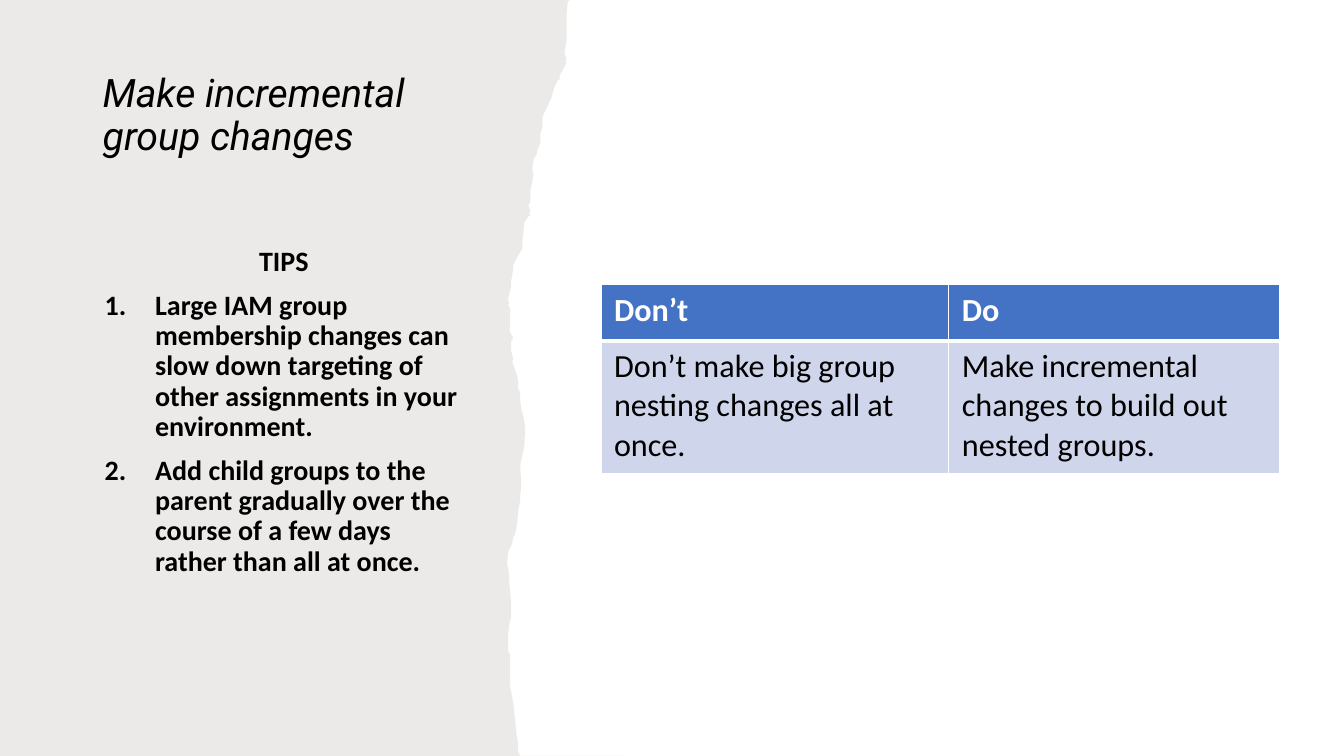
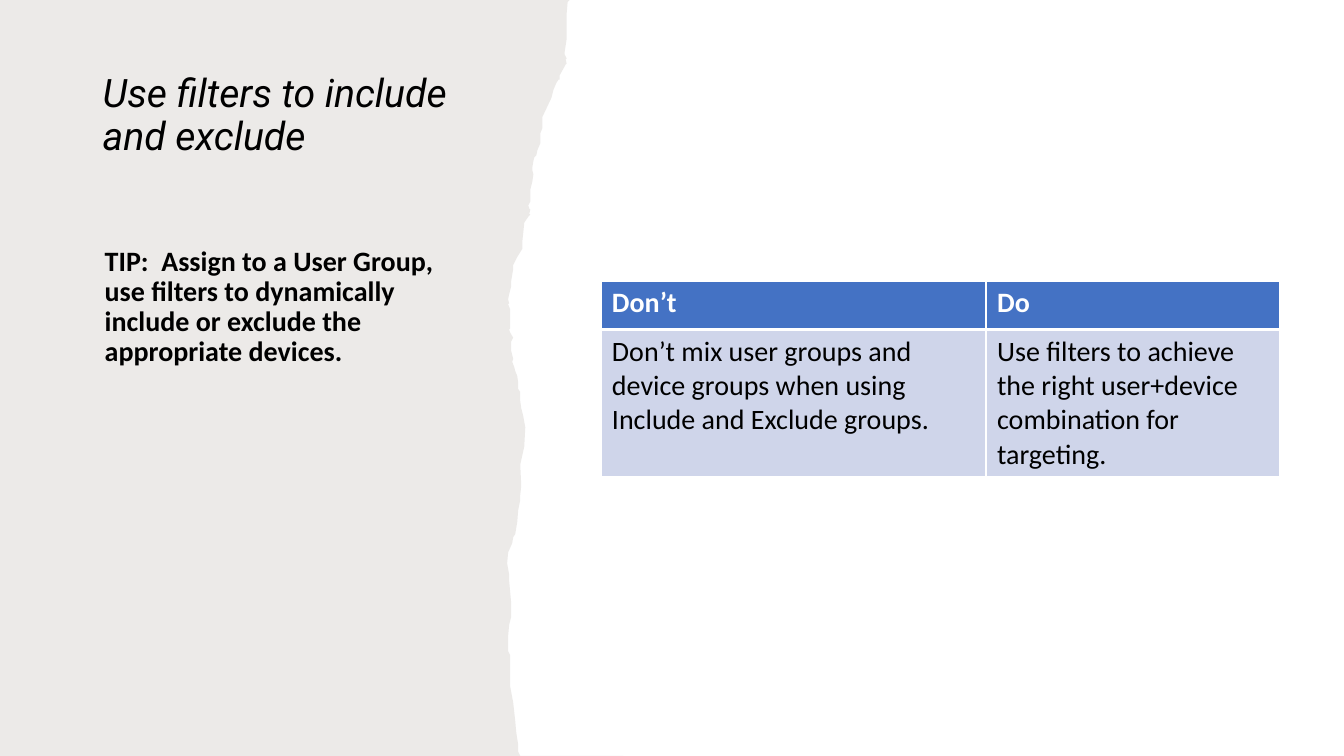
from lxml import etree
from pptx import Presentation
from pptx.dml.color import RGBColor
from pptx.enum.text import MSO_ANCHOR, PP_ALIGN
from pptx.oxml.ns import qn
from pptx.util import Pt

PX = 9144
WIDE, HIGH = 1333, 750
TOP, MID = MSO_ANCHOR.TOP, MSO_ANCHOR.MIDDLE
LEFT, CENTER = PP_ALIGN.LEFT, PP_ALIGN.CENTER
BLACK, WHITE = "000000", "FFFFFF"
HEAD, CELL, PAPER = "4472C4", "CFD5EA", "82766A"
EDGE = [
    (565, 0), (563, 2), (562, 14), (562, 20), (562, 29), (562, 39), (560, 52),
    (560, 54), (562, 58), (561, 59), (562, 63), (561, 64), (560, 66), (555, 75),
    (555, 79), (554, 79), (552, 82), (549, 89), (547, 97), (538, 116), (538, 127),
    (536, 132), (536, 142), (533, 149), (532, 154), (530, 156), (529, 160),
    (528, 166), (528, 169), (529, 173), (528, 180), (526, 188), (526, 195),
    (526, 200), (524, 204), (525, 207), (526, 208), (525, 212), (526, 213),
    (524, 215), (520, 221), (519, 231), (518, 240), (518, 247), (513, 255),
    (509, 263), (509, 267), (508, 273), (507, 279), (507, 284), (506, 288),
    (505, 292), (504, 297), (505, 301), (504, 302), (506, 307), (506, 318),
    (506, 326), (505, 327), (506, 330), (509, 335), (507, 339), (507, 345),
    (507, 348), (509, 356), (508, 359), (510, 364), (511, 368), (513, 373),
    (514, 380), (514, 386), (516, 389), (516, 398), (517, 405), (519, 413),
    (521, 424), (520, 443), (516, 461), (517, 482), (516, 491), (516, 496),
    (514, 506), (513, 518), (511, 530), (509, 533), (508, 539), (504, 548),
    (503, 559), (505, 570), (505, 576), (507, 598), (507, 612), (505, 620),
    (504, 631), (504, 646), (506, 650), (506, 653), (506, 666), (506, 681),
    (509, 697), (511, 715), (512, 726), (513, 733), (514, 739), (514, 746),
    (516, 750), (618, 750), (0, 750),
]


def color(code):
    """Turn a hex string into a colour."""
    return RGBColor.from_string(code)


def write(frame, lines, font="Calibri", size=20, ink=BLACK, bold=False,
          slant=False, align=LEFT, gap=None, lead=None, list_from=None):
    """Fill a text frame with formatted paragraphs."""
    frame.word_wrap = True
    for i, line in enumerate(lines):
        para = frame.paragraphs[0] if i == 0 else frame.add_paragraph()
        listed = list_from is not None and i >= list_from
        para.alignment = LEFT if listed else align
        if lead:
            para.line_spacing = lead
        if gap:
            para.space_before = Pt(gap)
        if listed:
            props = para._p.get_or_add_pPr()
            props.set("marL", str(50 * PX))
            props.set("indent", str(-50 * PX))
            etree.SubElement(props, qn("a:buAutoNum"), type="arabicPeriod")
        run = para.add_run()
        run.text = line
        face = run.font
        face.name, face.size = font, Pt(size)
        face.bold, face.italic = bold, slant
        face.color.rgb = color(ink)


def rule(cell, widths):
    """Draw white borders given as left, right, top and bottom points."""
    props = cell._tc.get_or_add_tcPr()
    for i, (side, width) in enumerate(zip("LRTB", widths)):
        line = etree.Element(qn("a:ln" + side), w=str(Pt(width)))
        fill = etree.SubElement(line, qn("a:solidFill"))
        etree.SubElement(fill, qn("a:srgbClr"), val=WHITE)
        props.insert(i, line)


class Deck:
    """Hold the shared style and the current slide."""

    def __init__(self):
        """Start an empty deck."""
        self.file = Presentation()
        self.file.slide_width = WIDE * PX
        self.file.slide_height = HIGH * PX
        self.slide = None

    def page(self, title):
        """Add a slide with its torn paper and title."""
        self.slide = self.file.slides.add_slide(self.file.slide_layouts[6])
        back = self.slide.background.fill
        back.solid()
        back.fore_color.rgb = color(WHITE)
        self.paper()
        self.text(92, 67, 409, 97, [title], anchor=MID, font="Roboto",
                  size=28, slant=True, lead=0.9)

    def paper(self):
        """Draw the torn paper on the left."""
        path = self.slide.shapes.build_freeform(0, 0, scale=PX)
        path.add_line_segments(EDGE, close=True)
        shape = path.convert_to_shape()
        shape.shadow.inherit = False
        shape.fill.solid()
        shape.fill.fore_color.rgb = color(PAPER)
        tint = shape.element.spPr.find(".//" + qn("a:srgbClr"))
        etree.SubElement(tint, qn("a:alpha"), val="15000")
        shape.line.fill.background()

    def text(self, x, y, w, h, lines, anchor=TOP, **style):
        """Add a text box."""
        box = self.slide.shapes.add_textbox(x * PX, y * PX, w * PX, h * PX)
        box.text_frame.vertical_anchor = anchor
        write(box.text_frame, lines, **style)

    def tips(self, lines, **style):
        """Add the bold tips below the title."""
        self.text(94, 240, 375, 427, lines, bold=True, gap=10, lead=0.9, **style)

    def table(self, y, cols, rows, data, size, pad):
        """Add a table with a blue head row."""
        frame = self.slide.shapes.add_table(
            len(rows), len(cols), 596 * PX, y * PX, sum(cols) * PX, sum(rows) * PX)
        grid = frame.table
        grid.horz_banding = False
        for col, width in zip(grid.columns, cols):
            col.width = width * PX
        for r, (row, high) in enumerate(zip(data, rows)):
            grid.rows[r].height = high * PX
            head = r == 0
            for c, words in enumerate(row):
                cell = grid.cell(r, c)
                cell.margin_left = cell.margin_right = pad[0] * PX
                cell.margin_top = cell.margin_bottom = pad[1] * PX
                cell.fill.solid()
                cell.fill.fore_color.rgb = color(HEAD if head else CELL)
                rule(cell, (1, 1, 1, 3) if head else (1, 1, 3, 1))
                write(cell.text_frame, [words], size=size, bold=head,
                      ink=WHITE if head else BLACK)


def main():
    """Build both slides and save them."""
    deck = Deck()
    names = ("Don’t", "Do")

    deck.page("Make incremental group changes")
    deck.tips([
        "TIPS",
        "Large IAM group membership changes can slow down targeting of other "
        "assignments in your environment.",
        "Add child groups to the parent gradually over the course of a few days "
        "rather than all at once.",
    ], align=CENTER, list_from=1)
    deck.table(282, (345, 328), (56, 132), [names, (
        "Don’t make big group nesting changes all at once.",
        "Make incremental changes to build out nested groups.",
    )], size=23, pad=(13, 6))

    deck.page("Use filters to include and exclude")
    deck.tips([
        "TIP:  Assign to a User Group, use filters to dynamically include or "
        "exclude the appropriate devices.",
    ])
    deck.table(279, (382, 291), (48, 146), [names, (
        "Don’t mix user groups and device groups when using Include and "
        "Exclude groups.",
        "Use filters to achieve the right user+device combination for targeting.",
    )], size=20, pad=(11, 5))

    deck.file.save("out.pptx")


if __name__ == "__main__":
    main()
